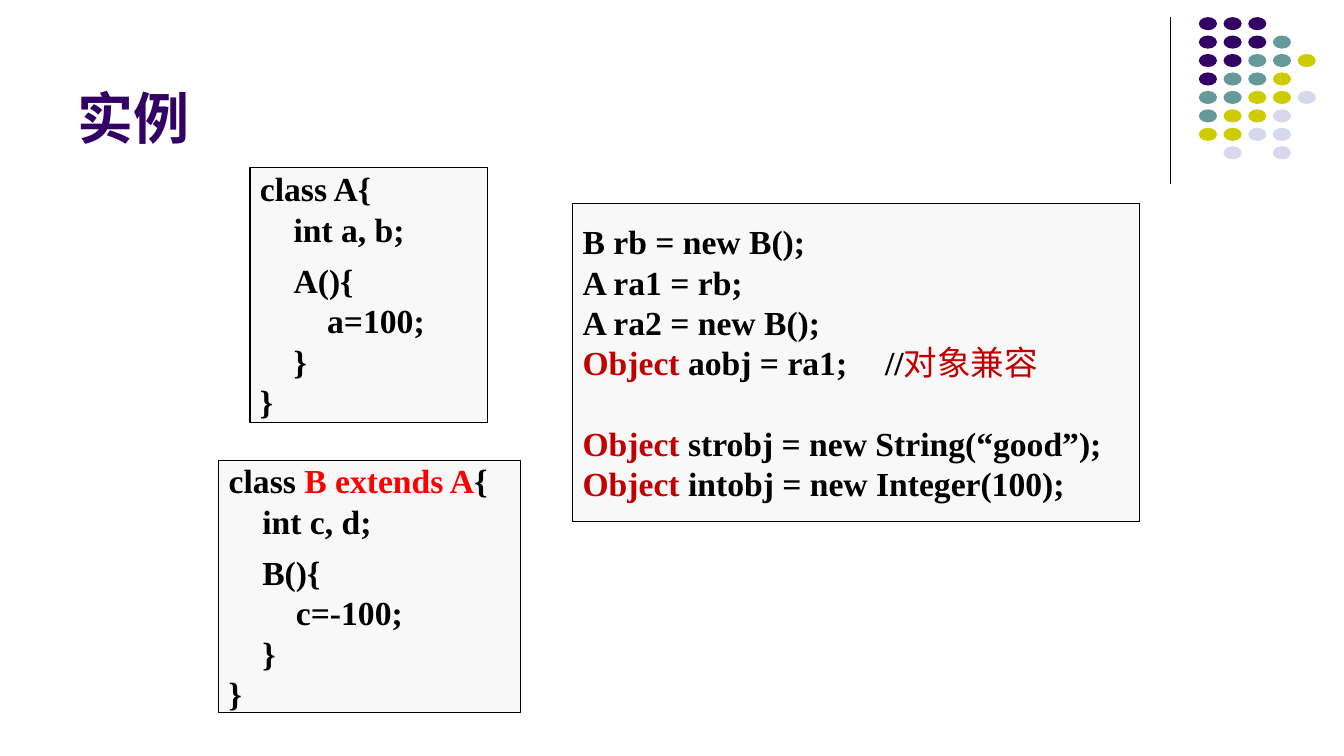
from pptx import Presentation
from pptx.dml.color import RGBColor
from pptx.enum.shapes import MSO_CONNECTOR as Conn, MSO_SHAPE as Shape
from pptx.enum.text import MSO_ANCHOR as Anchor, MSO_AUTO_SIZE as Auto, PP_ALIGN as Align
from pptx.oxml.ns import qn
from pptx.util import Inches, Pt
from lxml import etree

BLACK, RED, DARK, PLUM = "000000", "FF0000", "C00000", "330066"
SANS = "Noto Sans CJK SC"
CODE = {"size": Pt(24), "name": "Times New Roman", "bold": True}
NOTE = {"size": Pt(24), "name": SANS, "bold": False}
HEAD = {"size": Pt(40), "name": "Arial", "bold": True}
TINT = {"P": PLUM, "T": "669999", "Y": "CCCC00", "L": "D8D8EC"}
DOTS = ["PPP", "PPPT", "PPTTY", "PTTY", "TTYYL", "TYYL", "YYLL", " L L"]


def color(text):
    return RGBColor.from_string(text)


def style(run, form, tone):
    for key, value in form.items():
        setattr(run.font, key, value)
    run.font.color.rgb = color(tone)
    east = etree.SubElement(run._r.get_or_add_rPr(), qn("a:ea"))
    east.set("typeface", SANS)


def add_shape(slide, kind, box, fill):
    shape = slide.shapes.add_shape(kind, *map(Inches, box))
    shape.shadow.inherit = False
    shape.fill.solid()
    shape.fill.fore_color.rgb = color(fill)
    shape.line.fill.background()
    return shape


def add_title(slide, box, text):
    title = slide.shapes.title
    for key, value in zip(("left", "top", "width", "height"), box):
        setattr(title, key, Inches(value))
    frame = title.text_frame
    form = {"text": text, "auto_size": Auto.NONE, "word_wrap": True,
            "vertical_anchor": Anchor.BOTTOM}
    for key, value in form.items():
        setattr(frame, key, value)
    para = frame.paragraphs[0]
    para.alignment = Align.LEFT
    style(para.runs[0], HEAD, PLUM)


def add_corner(slide, left, top):
    """Draw the vertical rule and the dot pattern to its right."""
    x, y = Inches(left), Inches(top)
    rule = slide.shapes.add_connector(Conn.STRAIGHT, x, y, x, y + Inches(1.66))
    rule.line.width = Pt(0.75)
    rule.line.color.rgb = color(BLACK)
    etree.SubElement(rule._element.spPr, qn("a:effectLst"))
    for row, marks in enumerate(DOTS):
        for col, mark in enumerate(marks):
            if mark in TINT:
                box = (left + 0.28 + col * 0.245, top + row * 0.183, 0.18, 0.13)
                add_shape(slide, Shape.OVAL, box, TINT[mark])


def add_code(slide, box, lines):
    """Each line is (indent level, points before, runs of text, colour, format)."""
    panel = add_shape(slide, Shape.RECTANGLE, box, "F8F8F8")
    panel.line.color.rgb = color(BLACK)
    panel.line.width = Pt(0.75)
    frame = panel.text_frame
    form = {"word_wrap": True, "vertical_anchor": Anchor.MIDDLE,
            "margin_top": 0, "margin_bottom": 0}
    for key, value in form.items():
        setattr(frame, key, value)
    for i, (level, gap, runs) in enumerate(lines):
        para = frame.add_paragraph() if i else frame.paragraphs[0]
        para.alignment = Align.LEFT
        para.space_before = Pt(gap)
        para._p.get_or_add_pPr().set("marL", str(Pt(24 * level)))
        for text, tone, face in runs:
            run = para.add_run()
            run.text = text
            style(run, face, tone)


def line(text, level=0, gap=0):
    return level, gap, [(text, BLACK, CODE)]


def typed(rest, gap=0, *more):
    return 0, gap, [("Object ", DARK, CODE), (rest, BLACK, CODE), *more]


def body(fields, name, value):
    return [line(fields, 1), line(name + "(){", 1, 8), line(value, 2),
            line("}", 1), line("}")]


def main():
    deck = Presentation()
    deck.slide_width, deck.slide_height = Inches(13.33), Inches(7.5)
    slide = deck.slides.add_slide(deck.slide_layouts[5])
    add_corner(slide, 11.61, 0.17)
    add_title(slide, (0.67, 0.13, 11, 1.42), "实例")
    add_code(slide, (2.48, 1.66, 2.36, 2.53),
             [line("class A{"), *body("int a, b;", "A", "a=100;")])
    child = [("class ", BLACK, CODE), ("B extends A", RED, CODE), ("{", BLACK, CODE)]
    add_code(slide, (2.17, 4.57, 2.99, 2.5),
             [(0, 0, child), *body("int c, d;", "B", "c=-100;")])
    add_code(slide, (5.68, 2.02, 5.62, 3.15), [
        line("B rb = new B();"),
        line("A ra1 = rb;"),
        line("A ra2 = new B();"),
        typed("aobj = ra1;\t//", 0, ("对象兼容", DARK, NOTE)),
        typed("strobj = new String(“good”);", 28.8),
        typed("intobj = new Integer(100);"),
    ])
    deck.save("out.pptx")


if __name__ == "__main__":
    main()
